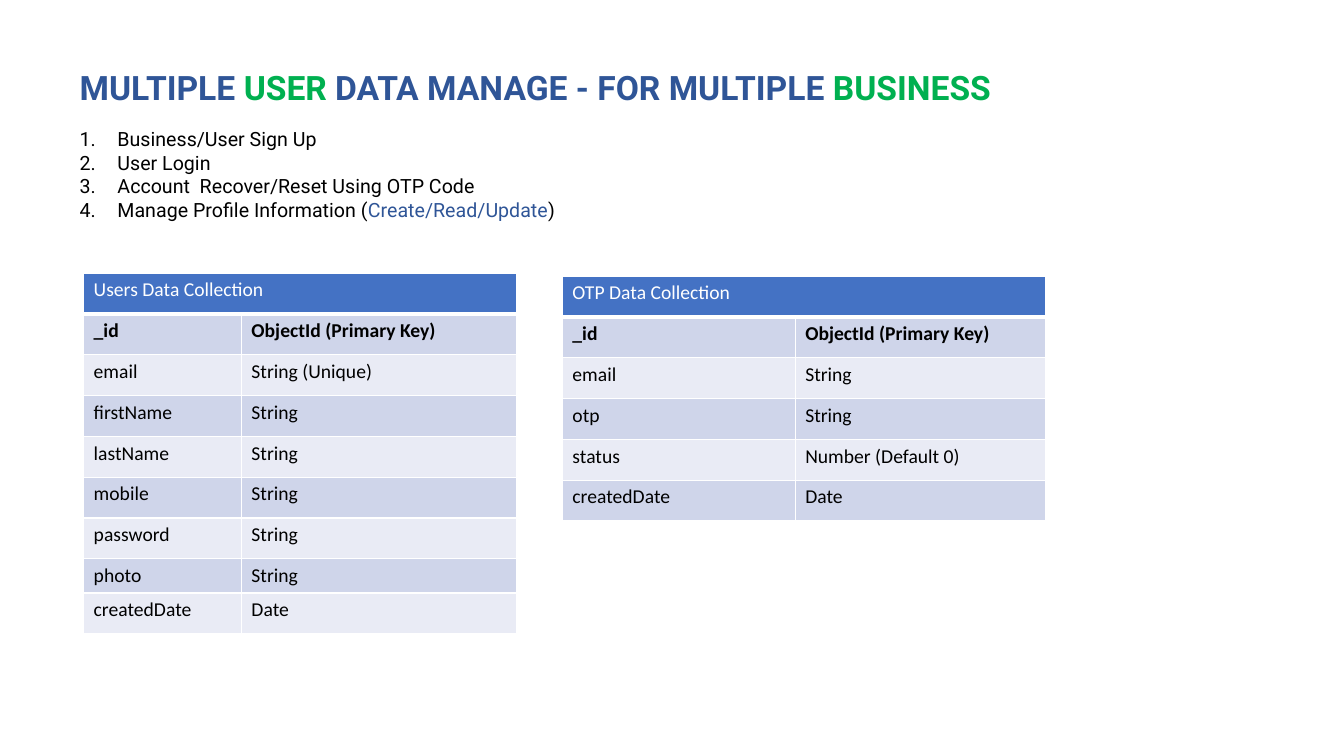
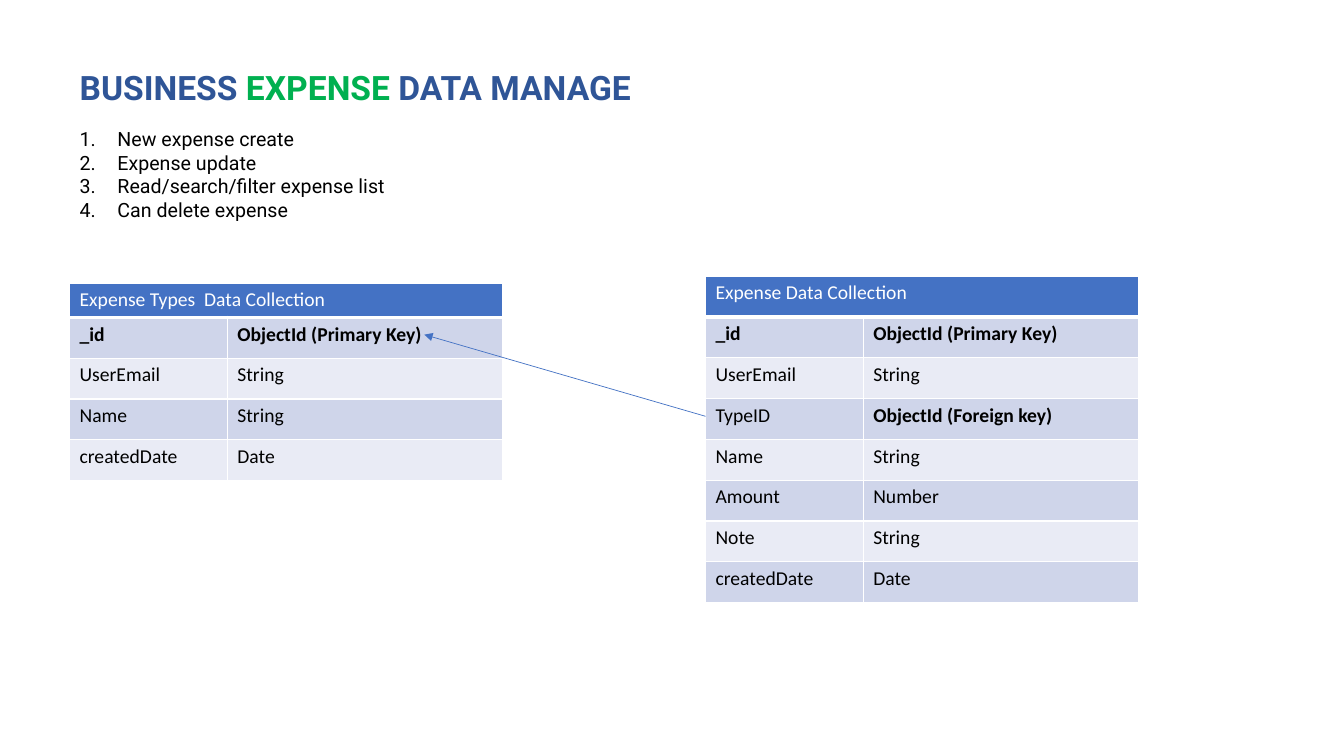
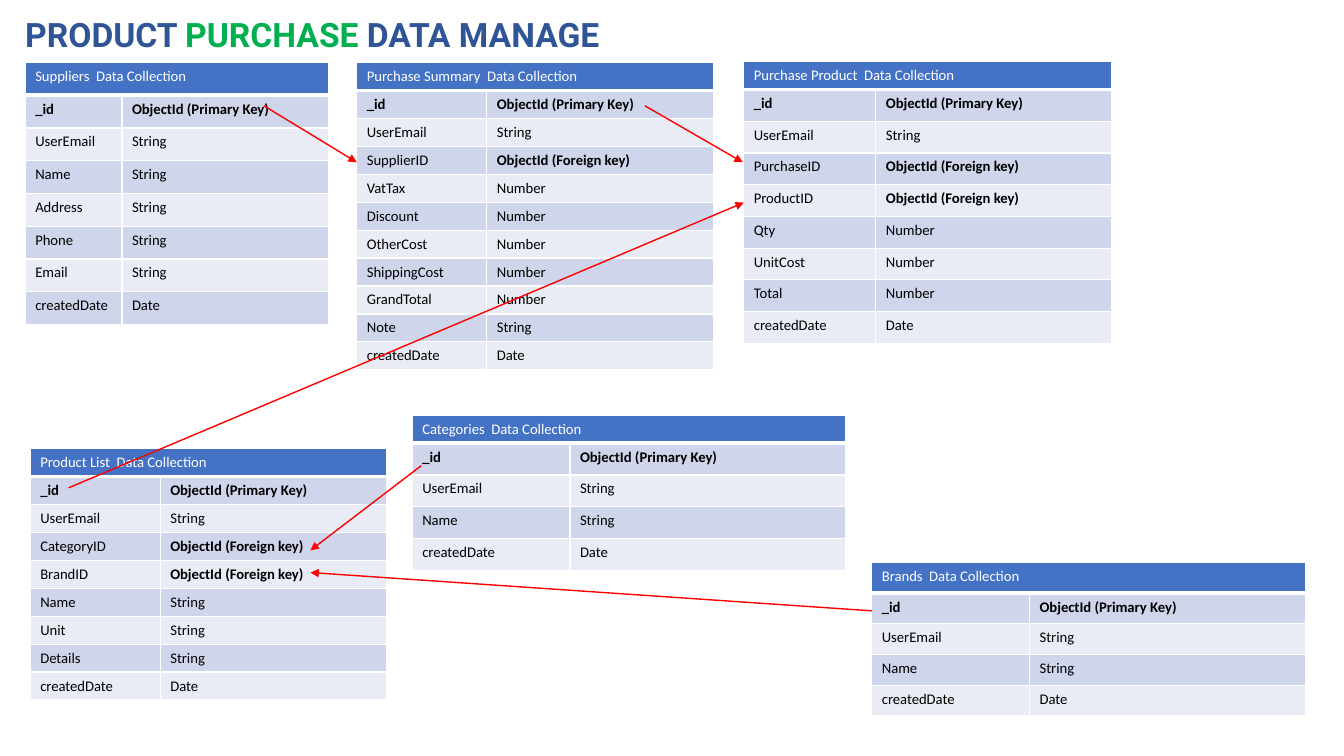
from dataclasses import dataclass

from lxml.etree import SubElement
from pptx import Presentation
from pptx.dml.color import RGBColor
from pptx.enum.shapes import MSO_CONNECTOR
from pptx.enum.text import MSO_ANCHOR, MSO_AUTO_SIZE, PP_ALIGN
from pptx.oxml.ns import qn
from pptx.util import Emu, Pt

SCALE = 4572  # EMU in one px, 200 px to the inch


@dataclass(frozen=True)
class Theme:
    navy: str = "2F5597"
    green: str = "00B050"
    blue: str = "4472C4"
    red: str = "FF0000"
    black: str = "000000"
    white: str = "FFFFFF"
    bands: tuple[str, str] = ("CFD5EA", "E9EBF5")
    head: str = "Roboto"
    cell: str = "Calibri"
    title: float = 24
    body: float = 14
    small: float = 10.5


@dataclass(frozen=True)
class Box:
    left: int
    top: int
    width: int
    height: int


@dataclass(frozen=True)
class Table:
    name: str
    left: int
    top: int
    cols: tuple[int, int]
    head: int
    row: int
    fields: tuple[tuple[str, str], ...]
    slim: str = ""  # field whose row is as low as its text allows


@dataclass(frozen=True)
class Arrow:
    start: tuple[int, int]
    end: tuple[int, int]


@dataclass(frozen=True)
class Page:
    title: str  # stars enclose accented words
    place: Box
    steps: tuple[str, ...]
    tables: tuple[Table, ...]
    arrows: tuple[Arrow, ...]
    size: float
    ink: str
    line: float


THEME = Theme()
LIST = Box(138, 242, 1012, 208)
SLIM = 68
WIDE = (313, 547)
MID = (258, 450)
TEXT, NUM = "String", "Number"
KEY, LINK = "ObjectId (Primary Key)", "ObjectId (Foreign key)"
MAIL = ("UserEmail", TEXT)
NAME = ("Name", TEXT)

PAGES = (
    Page(
        "MULTIPLE *USER *DATA MANAGE - FOR MULTIPLE *BUSINESS*",
        Box(138, 122, 1904, 100),
        ("Business/User Sign Up", "User Login",
         "Account  Recover/Reset Using OTP Code",
         "Manage Profile Information (*Create/Read/Update*)"),
        (
            Table("Users Data Collection", 166, 542, WIDE, 81, 81,
                  (("email", "String (Unique)"), ("firstName", TEXT),
                   ("lastName", TEXT), ("mobile", TEXT),
                   ("password", TEXT), ("photo", TEXT)), "photo"),
            Table("OTP Data Collection", 1116, 548, (462, 496), 81, 81,
                  (("email", TEXT), ("otp", TEXT),
                   ("status", "Number (Default 0)"))),
        ),
        (), THEME.body, THEME.blue, 0.5),
    Page(
        "BUSINESS *EXPENSE *DATA MANAGE",
        Box(138, 122, 1170, 100),
        ("New expense create", "Expense update",
         "Read/search/filter expense list", "Can delete expense"),
        (
            Table("Expense Data Collection", 1400, 548, WIDE, 81, 81,
                  (MAIL, ("TypeID", LINK), NAME, ("Amount", NUM),
                   ("Note", TEXT))),
            Table("Expense Types  Data Collection", 138, 562, WIDE, SLIM, 81,
                  (MAIL, NAME)),
        ),
        (Arrow((1400, 826), (842, 664)),),
        THEME.body, THEME.blue, 0.5),
    Page(
        "PRODUCT *PURCHASE *DATA MANAGE",
        Box(30, 18, 1218, 100),
        (),
        (
            Table("Purchase Summary  Data Collection", 708, 124, MID, 55, 55,
                  (MAIL, ("SupplierID", LINK), ("VatTax", NUM),
                   ("Discount", NUM), ("OtherCost", NUM),
                   ("ShippingCost", NUM), ("GrandTotal", NUM),
                   ("Note", TEXT))),
            Table("Purchase Product  Data Collection", 1476, 122, (262, 467),
                  55, 63,
                  (MAIL, ("PurchaseID", LINK), ("ProductID", LINK),
                   ("Qty", NUM), ("UnitCost", NUM), ("Total", NUM))),
            Table("Suppliers  Data Collection", 50, 124, (192, 410), 65, 65,
                  (MAIL, NAME, ("Address", TEXT), ("Phone", TEXT),
                   ("Email", TEXT))),
            Table("Product List  Data Collection", 60, 890, MID, 54, 54,
                  (MAIL, ("CategoryID", LINK), ("BrandID", LINK), NAME,
                   ("Unit", TEXT), ("Details", TEXT))),
            Table("Categories  Data Collection", 818, 824, WIDE, 55, 63,
                  (MAIL, NAME)),
            Table("Brands  Data Collection", 1730, 1116, WIDE, 61, 61,
                  (MAIL, NAME)),
        ),
        (Arrow((524, 210), (708, 322)), Arrow((1280, 210), (1474, 322)),
         Arrow((136, 968), (1476, 402)), Arrow((1730, 1212), (616, 1136)),
         Arrow((836, 924), (616, 1092))),
        THEME.small, THEME.red, 1),
)


def px(size: int) -> Emu:
    return Emu(size * SCALE)


def style(font, face: str, size: float, color: str, bold: bool) -> None:
    font.name, font.size, font.bold = face, Pt(size), bold
    font.color.rgb = RGBColor.from_string(color)


def place(shape, box: Box) -> None:
    """Put a placeholder in its box, with text from the top left."""
    shape.left, shape.top = px(box.left), px(box.top)
    shape.width, shape.height = px(box.width), px(box.height)
    frame = shape.text_frame
    frame.word_wrap = True
    frame.auto_size = MSO_AUTO_SIZE.NONE
    frame.vertical_anchor = MSO_ANCHOR.TOP


def write(para, text: str, size: float, plain: str, accent: str,
          bold: bool) -> None:
    """Write one line; every second part between stars is accented."""
    para.alignment = PP_ALIGN.LEFT
    para.space_before = para.space_after = Pt(0)
    para.line_spacing = 1.0
    for spot, part in enumerate(text.split("*")):
        if part:
            run = para.add_run()
            run.text = part
            color = accent if spot % 2 else plain
            style(run.font, THEME.head, size, color, bold)


def number(para) -> None:
    props = para._p.get_or_add_pPr()
    props.set("marL", str(px(75)))
    props.set("indent", str(-px(75)))
    SubElement(props, qn("a:buFont")).set("typeface", THEME.head)
    SubElement(props, qn("a:buAutoNum")).set("type", "arabicPeriod")


def border(cell, top: float, bottom: float) -> None:
    props = cell._tc.get_or_add_tcPr()
    sides = (("L", 1), ("R", 1), ("T", top), ("B", bottom))
    for spot, (side, width) in enumerate(sides):
        line = SubElement(props, qn(f"a:ln{side}"), w=str(Pt(width)))
        fill = SubElement(line, qn("a:solidFill"))
        SubElement(fill, qn("a:srgbClr")).set("val", THEME.white)
        props.insert(spot, line)  # borders come before the fill


def draw_table(slide, spec_: Table, size: float) -> None:
    rows = ((spec_.name, ""), ("_id", KEY), *spec_.fields,
            ("createdDate", "Date"))
    highs = [spec_.head] + [SLIM if name == spec_.slim else spec_.row
                            for name, _ in rows[1:]]
    grid = slide.shapes.add_table(
        len(rows), 2, px(spec_.left), px(spec_.top),
        px(sum(spec_.cols)), px(sum(highs))).table
    grid.horz_banding = grid.first_row = False
    for col, width in zip(grid.columns, spec_.cols):
        col.width = px(width)
    for at, (row, high) in enumerate(zip(rows, highs)):
        grid.rows[at].height = px(high)
        for side, text in enumerate(row):
            cell = grid.cell(at, side)
            back = THEME.bands[(at - 1) % 2] if at else THEME.blue
            cell.fill.solid()
            cell.fill.fore_color.rgb = RGBColor.from_string(back)
            border(cell, 3 if at == 1 else 1, 1 if at else 3)
            para = cell.text_frame.paragraphs[0]
            para.text = text
            ink = THEME.black if at else THEME.white
            bold = at == 1 or text in (KEY, LINK)
            style(para.font, THEME.cell, size, ink, bold)
            for run in para.runs:
                style(run.font, THEME.cell, size, ink, bold)
    grid.cell(0, 0).merge(grid.cell(0, 1))


def draw_arrow(slide, arrow: Arrow, ink: str, width: float) -> None:
    ends = [px(size) for size in arrow.start + arrow.end]
    link = slide.shapes.add_connector(MSO_CONNECTOR.STRAIGHT, *ends)
    link.line.color.rgb = RGBColor.from_string(ink)
    link.line.width = Pt(width)
    SubElement(link.line._get_or_add_ln(), qn("a:tailEnd"), type="triangle")
    SubElement(link._element.spPr, qn("a:effectLst"))


def draw_page(deck, page: Page) -> None:
    # Layout 1 has a title and a body, layout 5 a title only
    slide = deck.slides.add_slide(deck.slide_layouts[1 if page.steps else 5])

    # Title
    title = slide.shapes.title
    place(title, page.place)
    write(title.text_frame.paragraphs[0], page.title, THEME.title,
          THEME.navy, THEME.green, True)

    # Numbered list
    if page.steps:
        body = slide.placeholders[1]
        place(body, LIST)
        frame = body.text_frame
        for at, step in enumerate(page.steps):
            para = frame.add_paragraph() if at else frame.paragraphs[0]
            write(para, step, THEME.body, THEME.black, THEME.navy, False)
            number(para)

    # Collections and the links between them
    for table in page.tables:
        draw_table(slide, table, page.size)
    for arrow in page.arrows:
        draw_arrow(slide, arrow, page.ink, page.line)


def main() -> None:
    deck = Presentation()
    deck.slide_width, deck.slide_height = px(2667), px(1500)
    for page in PAGES:
        draw_page(deck, page)
    deck.save("out.pptx")


if __name__ == "__main__":
    main()
